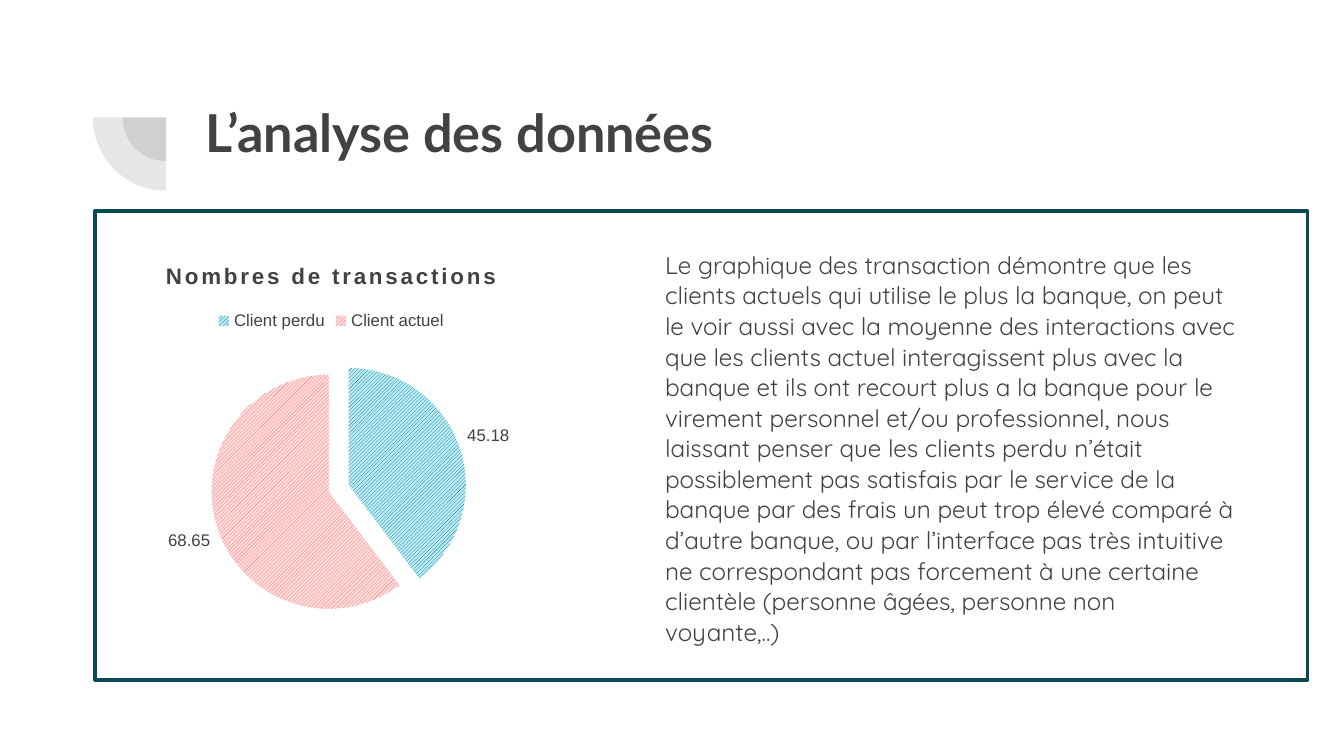
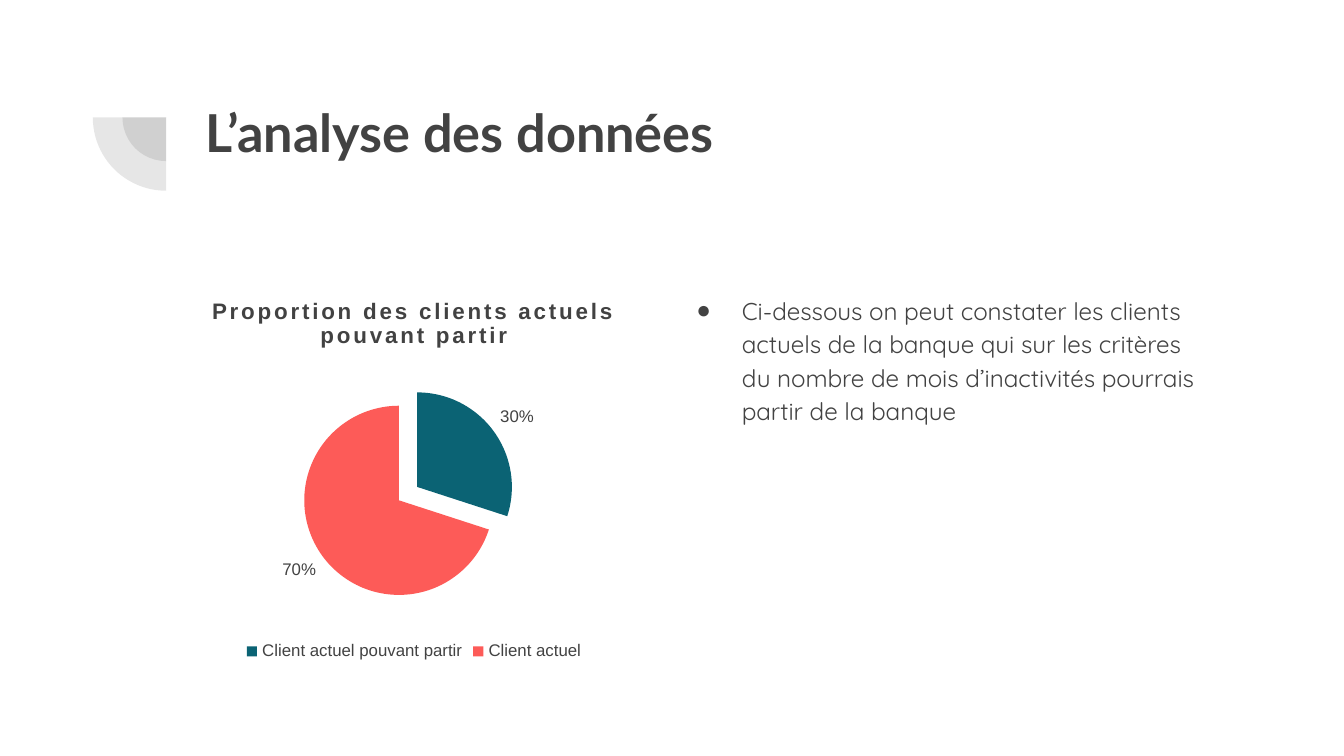
from lxml.etree import Element, SubElement
from pptx import Presentation
from pptx.chart.data import CategoryChartData
from pptx.dml.color import RGBColor
from pptx.enum.chart import XL_CHART_TYPE, XL_LABEL_POSITION, XL_LEGEND_POSITION
from pptx.enum.dml import MSO_PATTERN
from pptx.enum.shapes import MSO_SHAPE
from pptx.enum.text import MSO_ANCHOR, MSO_AUTO_SIZE, PP_ALIGN
from pptx.oxml.ns import qn
from pptx.util import Cm, Pt

HEX = {"ink": "424242", "white": "FFFFFF", "frame": "084956", "teal": "0B6374",
       "coral": "FD5B58", "ice": "B9EEF8", "blush": "FFDEDE"}
RGB = {name: RGBColor.from_string(code) for name, code in HEX.items()}

# What differs from slide to slide
PAGES = [
    dict(
        framed=True, bullet=None, leading=1.05, after=12,
        body=(12.32, 4.45, 11.28, 8.18),
        text="Le graphique des transaction démontre que les clients actuels qui utilise le plus "
             "la banque, on peut le voir aussi avec la moyenne des interactions avec que les "
             "clients actuel interagissent plus avec la banque et ils ont recourt plus a la "
             "banque pour le virement personnel et/ou professionnel, nous laissant penser que "
             "les clients perdu n’était possiblement pas satisfais par le service de la banque "
             "par des frais un peut trop élevé comparé à d’autre banque, ou par l’interface pas "
             "très intuitive ne correspondant pas forcement à une certaine clientèle (personne "
             "âgées, personne non voyante,..)",
        chart=(1.47, 4.6, 9.58, 7.66), head="Nombres de transactions",
        cats=["Client perdu", "Client actuel"], vals=[45.18, 68.65],
        back=["ice", "blush"], percent=False, legend=XL_LEGEND_POSITION.TOP,
        burst=9, plot=(0.26, 0.29, 0.51, 0.63)),
    dict(
        framed=False, bullet="●", leading=1.15, after=0,
        body=(12.5, 5.26, 10.64, 7.34),
        text="Ci-dessous on peut constater les clients actuels de la banque qui sur les critères "
             "du nombre de mois d’inactivités pourrais partir de la banque",
        chart=(2.26, 5.26, 11.13, 7.34), head="Proportion des clients actuels pouvant partir",
        cats=["Client actuel pouvant partir", "Client actuel"], vals=[30, 70],
        back=None, percent=True, legend=XL_LEGEND_POSITION.BOTTOM,
        burst=12, plot=(0.31, 0.28, 0.36, 0.55)),
]


def style(font, name, size, bold=False):
    font.name, font.size, font.bold = name, Pt(size), bold
    font.color.rgb = RGB["ink"]


def fit(shape, text, box):
    """Place a text placeholder, fill it and return its paragraph."""
    shape.left, shape.top, shape.width, shape.height = map(Cm, box)
    frame = shape.text_frame
    frame.text = text
    frame.word_wrap = True
    frame.auto_size = MSO_AUTO_SIZE.NONE
    frame.vertical_anchor = MSO_ANCHOR.TOP
    frame.margin_left = frame.margin_right = Cm(0.25)
    frame.margin_top = frame.margin_bottom = Cm(0.25)
    para = frame.paragraphs[0]
    para.alignment = PP_ALIGN.LEFT
    para.space_before = Pt(0)
    return para


deck = Presentation()
deck.slide_width, deck.slide_height = Cm(25.4), Cm(14.29)

for page in PAGES:
    slide = deck.slides.add_slide(deck.slide_layouts[1])
    title, body = slide.placeholders

    # Quarter discs around one centre
    for size in (1.65, 2.77):
        disc = slide.shapes.add_shape(MSO_SHAPE.PIE, Cm(3.14 - size / 2), Cm(2.22 - size / 2),
                                      Cm(size), Cm(size))
        disc.adjustments[0], disc.adjustments[1] = 108, 162
        disc.rotation = 270
        disc.shadow.inherit = False
        disc.fill.solid()
        disc.fill.fore_color.rgb = RGB["ink"]
        tint = disc.element.xpath("./p:spPr/a:solidFill/a:srgbClr")[0]
        SubElement(tint, qn("a:alpha"), val="13000")
        disc.line.fill.background()
        title.element.addprevious(disc.element)

    # Frame behind text and chart
    if page["framed"]:
        panel = slide.shapes.add_shape(MSO_SHAPE.RECTANGLE, Cm(1.8), Cm(3.99),
                                       Cm(22.91), Cm(8.86))
        panel.shadow.inherit = False
        panel.fill.solid()
        panel.fill.fore_color.rgb = RGB["white"]
        panel.line.color.rgb = RGB["frame"]
        panel.line.width = Pt(2)
        title.element.addprevious(panel.element)

    # Title
    para = fit(title, "L’analyse des données", (3.63, 1.65, 19.53, 2.77))
    style(para.runs[0].font, "Lato", 28, True)

    # Body text
    para = fit(body, page["text"], page["body"])
    style(para.runs[0].font, "Quicksand", 13)
    para.line_spacing = page["leading"]
    para.space_after = Pt(page["after"])
    props = para._p.get_or_add_pPr()
    if page["bullet"]:
        props.set("marL", str(Cm(1.27)))
        props.set("indent", str(Cm(-0.86)))
        SubElement(SubElement(props, qn("a:buClr")), qn("a:srgbClr"), val=HEX["ink"])
        SubElement(props, qn("a:buChar"), char=page["bullet"])
    else:
        props.set("marL", "0")
        props.set("indent", "0")
        SubElement(props, qn("a:buNone"))

    # Pie chart
    data = CategoryChartData()
    data.categories = page["cats"]
    data.add_series("Series 1", page["vals"])
    chart = slide.shapes.add_chart(XL_CHART_TYPE.PIE, *map(Cm, page["chart"]), data).chart
    style(chart.font, "Arial", 10)
    chart.has_title = True
    head = chart.chart_title.text_frame
    head.text = page["head"]
    run = head.paragraphs[0].runs[0]
    style(run.font, "Arial", 12, True)
    run.font._element.set("spc", "150")
    chart.has_legend = True
    chart.legend.position = page["legend"]
    chart.legend.include_in_layout = False
    style(chart.legend.font, "Arial", 9)

    # Slices
    pie = chart.plots[0]
    pie.vary_by_categories = True
    for i, name in enumerate(("teal", "coral")):
        fill = pie.series[0].points[i].format.fill
        if page["back"]:
            fill.patterned()
            fill.pattern = MSO_PATTERN.LIGHT_UPWARD_DIAGONAL
            fill.back_color.rgb = RGB[page["back"][i]]
        else:
            fill.solid()
        fill.fore_color.rgb = RGB[name]
    burst = Element(qn("c:explosion"), val=str(page["burst"]))
    chart.element.xpath(".//c:ser/c:dPt")[0].addprevious(burst)

    # Labels
    pie.has_data_labels = True
    tags = pie.data_labels
    tags.show_percentage = page["percent"]
    tags.show_value = not page["percent"]
    tags.number_format = "0%" if page["percent"] else "0.00"
    tags.number_format_is_linked = False
    tags.position = XL_LABEL_POSITION.OUTSIDE_END
    style(tags.font, "Arial", 9)

    # Plot area as shares of the chart
    area = chart.element.xpath(".//c:plotArea")[0]
    for old in area.findall(qn("c:layout")):
        area.remove(old)
    spot = Element(qn("c:layout"))
    area.insert(0, spot)
    rule = SubElement(spot, qn("c:manualLayout"))
    SubElement(rule, qn("c:layoutTarget"), val="inner")
    for key in ("xMode", "yMode"):
        SubElement(rule, qn("c:" + key), val="edge")
    for key, share in zip("xywh", page["plot"]):
        SubElement(rule, qn("c:" + key), val=str(share))

deck.save("out.pptx")
